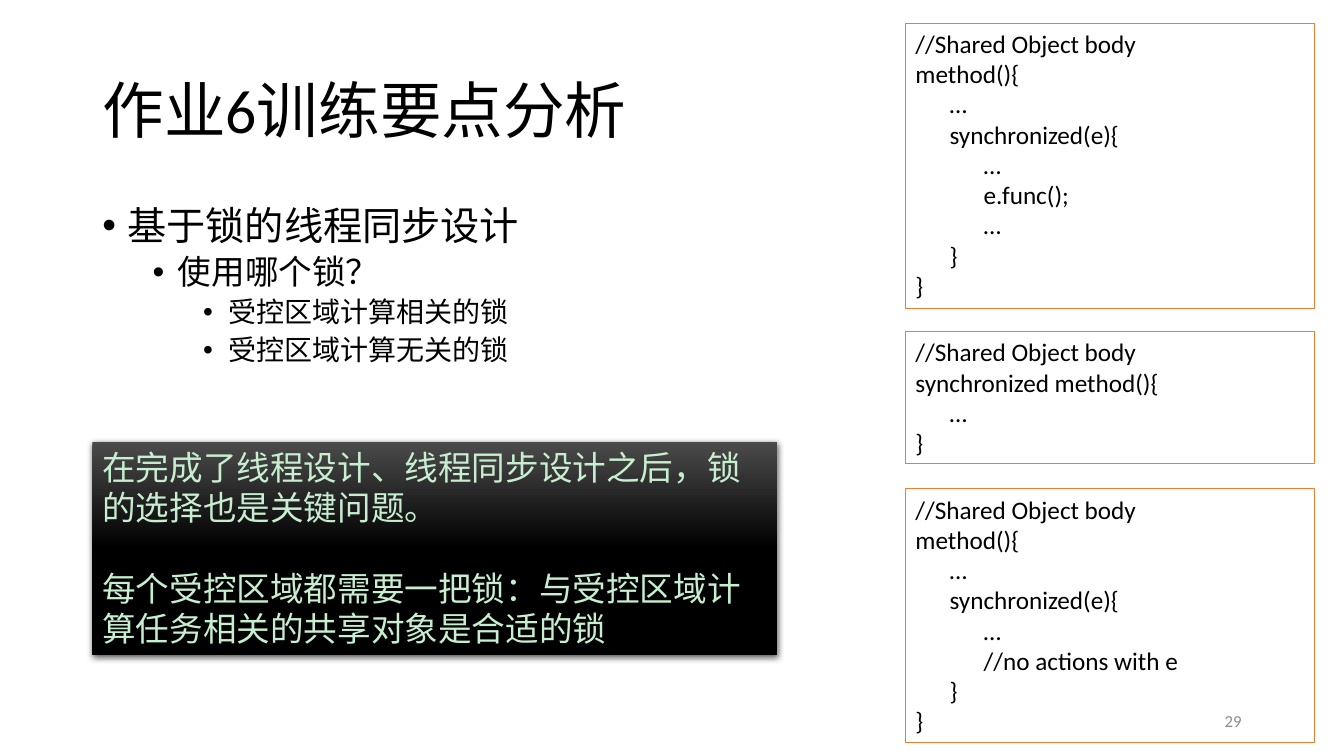
"""Build a slide on choosing locks for thread synchronization."""
from lxml.etree import SubElement
from pptx import Presentation
from pptx.dml.color import RGBColor
from pptx.enum.shapes import MSO_SHAPE as Shape
from pptx.enum.text import MSO_ANCHOR as Anchor, MSO_AUTO_SIZE as AutoSize, PP_ALIGN as Align
from pptx.oxml.ns import qn
from pptx.util import Pt

COLORS = {
    "background": "FFFFFF",
    "text": "000000",
    "border": "ED7D31",
    "note_top": "4B4B4B",
    "note_bottom": "000000",
    "note_text": "C7EECE",
    "number": "8C8C8C",
}
CODE_INDENT = 24.4
CODE_BLOCKS = [
    (16.6, 203.8, [
        (0, "//Shared Object body"), (0, "method(){"), (1, "…"),
        (1, "synchronized(e){"), (2, "…"), (2, "e.func();"), (2, "…"),
        (1, "}"), (0, "}"),
    ]),
    (236.9, 94.3, [
        (0, "//Shared Object body"), (0, "synchronized method(){"),
        (1, "…"), (0, "}"),
    ]),
    (349.2, 181.4, [
        (0, "//Shared Object body"), (0, "method(){"), (1, "…"),
        (1, "synchronized(e){"), (2, "…"), (2, "//no actions with e"),
        (1, "}"), (0, "}"),
    ]),
]
BULLETS = [
    (0, "基于锁的线程同步设计"),
    (1, "使用哪个锁？"),
    (2, "受控区域计算相关的锁"),
    (2, "受控区域计算无关的锁"),
]
NOTES = [
    "在完成了线程设计、线程同步设计之后，锁的选择也是关键问题。",
    "每个受控区域都需要一把锁：与受控区域计算任务相关的共享对象是合适的锁",
]


def prepare_frame(shape, anchor=Anchor.TOP):
    frame = shape.text_frame
    frame.word_wrap = True
    frame.auto_size = AutoSize.NONE
    frame.vertical_anchor = anchor
    return frame


def add_line(frame, index, text, size, color="text", align=Align.LEFT):
    paragraph = frame.add_paragraph() if index else frame.paragraphs[0]
    paragraph.alignment = align
    run = paragraph.add_run()
    run.text = text
    run.font.name = "Calibri"
    run.font.size = Pt(size)
    run.font.color.rgb = RGBColor.from_string(COLORS[color])
    return paragraph


presentation = Presentation()
presentation.slide_width = Pt(960)
presentation.slide_height = Pt(540)
slide = presentation.slides.add_slide(presentation.slide_layouts[5])
slide.background.fill.solid()
slide.background.fill.fore_color.rgb = RGBColor.from_string(COLORS["background"])

title = slide.shapes.title
title.left, title.top, title.width, title.height = Pt(66), Pt(28.75), Pt(828), Pt(104.4)
heading = add_line(prepare_frame(title, Anchor.MIDDLE), 0, "作业6训练要点分析", 44)
heading.line_spacing = 0.9

body = slide.shapes.add_textbox(Pt(66), Pt(143.75), Pt(581), Pt(342.6))
body_frame = prepare_frame(body)
for index, (level, text) in enumerate(BULLETS):
    paragraph = add_line(body_frame, index, text, 28 - 4 * level)
    paragraph.level = level
    paragraph.line_spacing = 0.9
    paragraph.space_before = Pt(5 if level else 10)
    properties = paragraph._p.get_or_add_pPr()
    properties.set("marL", str(Pt(18 + 36 * level)))
    properties.set("indent", str(Pt(-18)))
    SubElement(properties, qn("a:buFont"), typeface="Arial")
    SubElement(properties, qn("a:buChar"), char="•")

for top, height, lines in CODE_BLOCKS:
    block = slide.shapes.add_shape(Shape.RECTANGLE, Pt(646.8), Pt(top), Pt(291.9), Pt(height))
    block.shadow.inherit = False
    block.fill.background()
    block.line.color.rgb = RGBColor.from_string(COLORS["border"])
    block.line.width = Pt(0.75)
    block_frame = prepare_frame(block)
    for index, (depth, text) in enumerate(lines):
        paragraph = add_line(block_frame, index, text, 18)
        paragraph._p.get_or_add_pPr().set("marL", str(Pt(CODE_INDENT * depth)))

note = slide.shapes.add_shape(Shape.RECTANGLE, Pt(66), Pt(315.4), Pt(489), Pt(152.7))
note.fill.gradient()
note.fill.gradient_angle = 270
for stop, position, color in zip(note.fill.gradient_stops, (0, 0.5), ("note_top", "note_bottom")):
    stop.position = position
    stop.color.rgb = RGBColor.from_string(COLORS[color])
note.line.fill.background()
note.shadow.inherit = False
effects = note._element.spPr.find(qn("a:effectLst"))
shadow = SubElement(effects, qn("a:outerShdw"), blurRad=str(Pt(4.5)), dist=str(Pt(1.5)),
                    dir="5400000", algn="ctr", rotWithShape="0")
shadow_color = SubElement(shadow, qn("a:srgbClr"), val=COLORS["note_bottom"])
SubElement(shadow_color, qn("a:alpha"), val="63000")
note_frame = prepare_frame(note)
for index, text in enumerate(NOTES):
    paragraph = add_line(note_frame, index, text, 24, "note_text")
    paragraph.space_before = Pt(28.8 * index)

number = slide.shapes.add_textbox(Pt(678), Pt(500.5), Pt(216), Pt(28.75))
add_line(prepare_frame(number, Anchor.MIDDLE), 0, "29", 12, "number", Align.RIGHT)

presentation.save("out.pptx")
